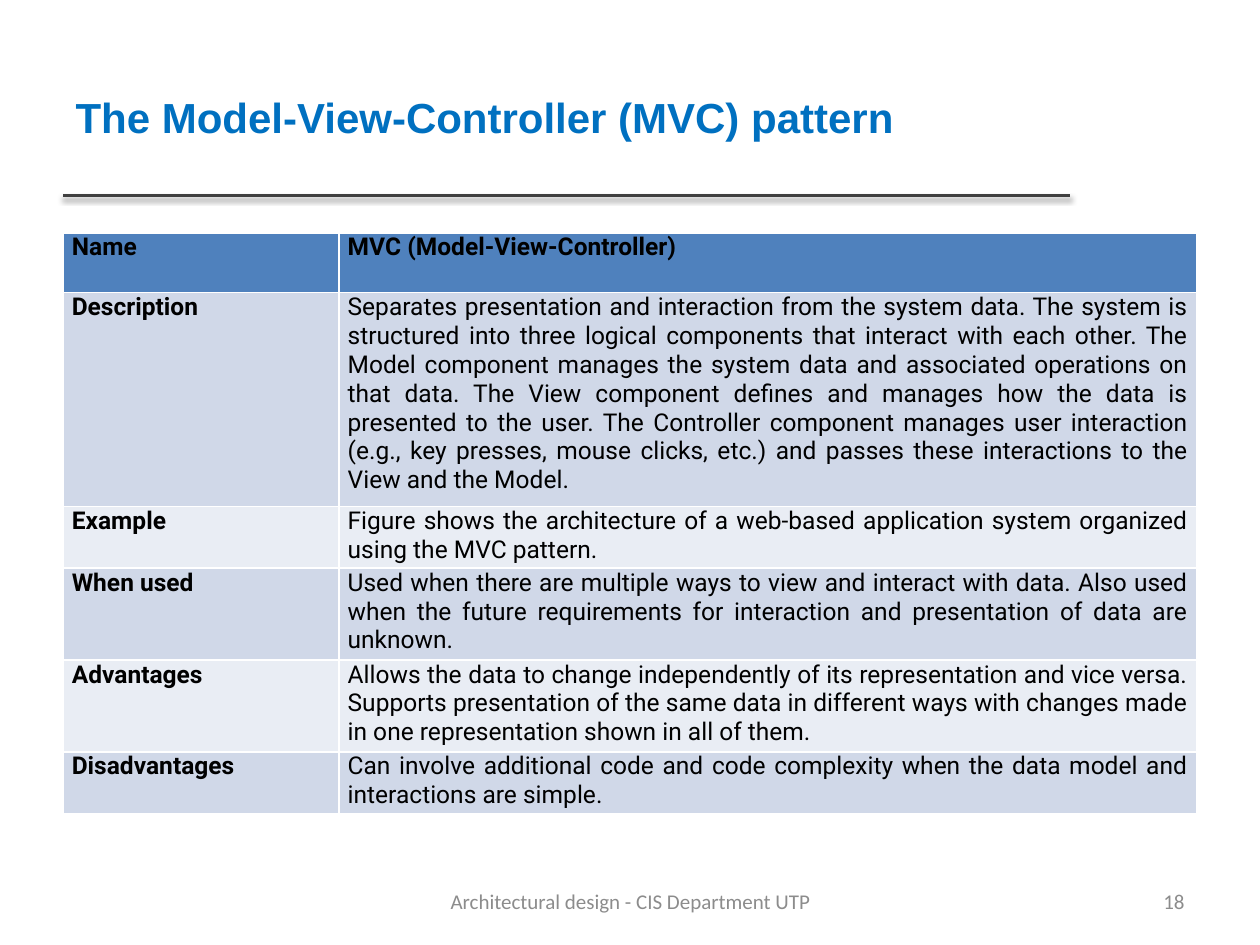
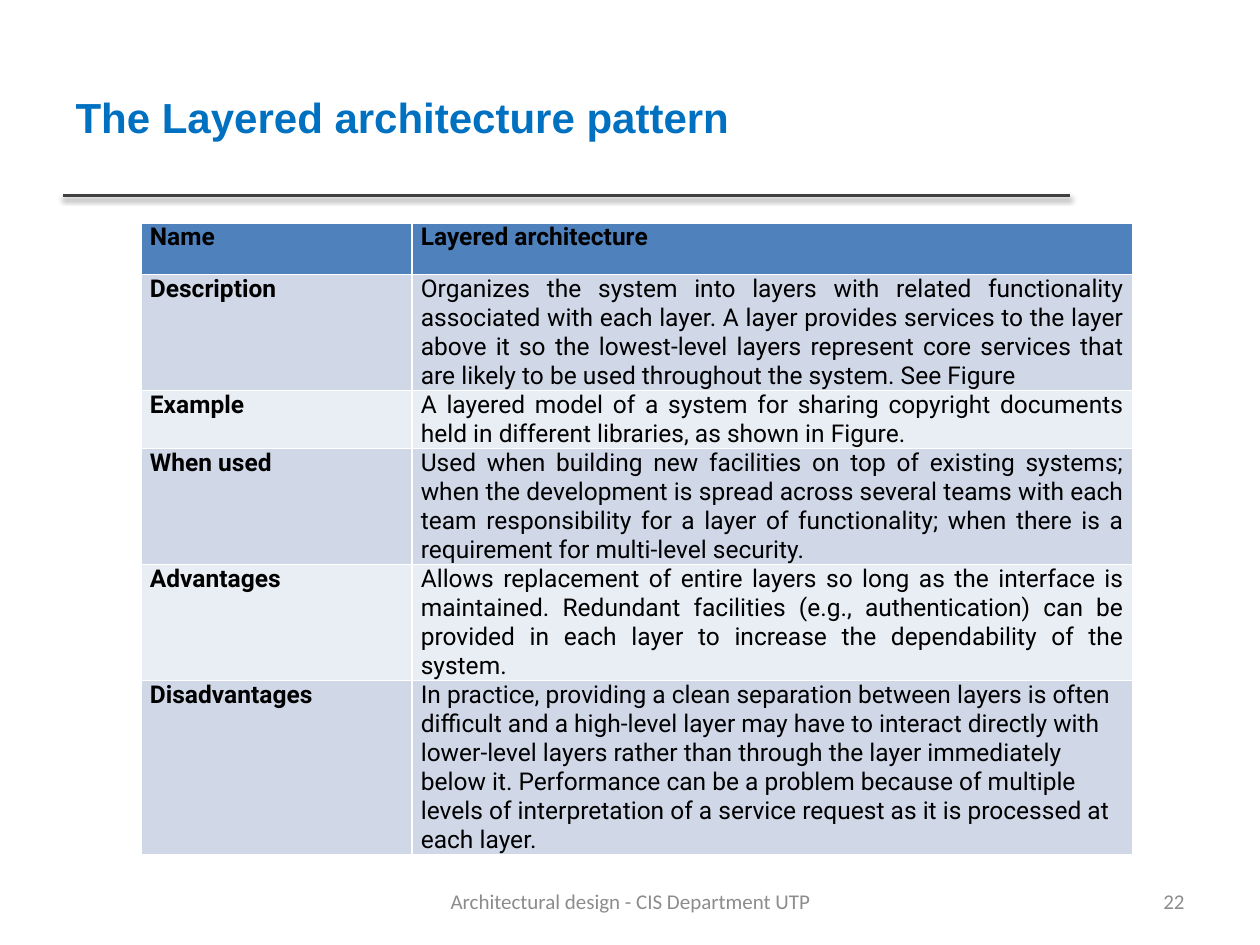
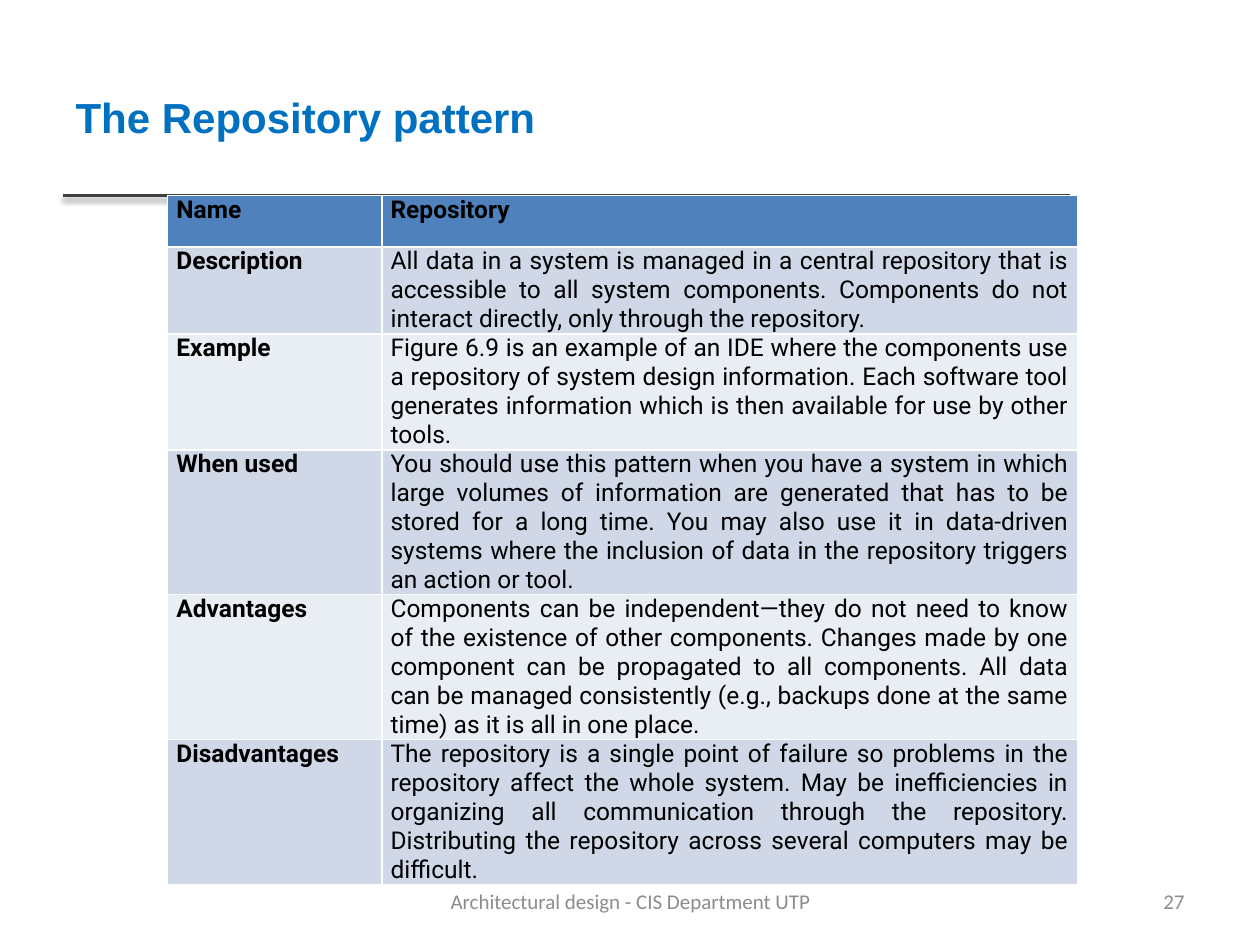
from dataclasses import dataclass
from lxml import etree
from pptx import Presentation
from pptx.dml.color import RGBColor
from pptx.enum.shapes import MSO_CONNECTOR
from pptx.enum.text import MSO_ANCHOR, PP_ALIGN
from pptx.oxml import parse_xml
from pptx.util import Inches, Pt


@dataclass(frozen=True)
class Theme:
    title_color: str = "0070C0"
    rule_color: str = "404040"
    footer_color: str = "8C8C8C"
    text_color: str = "000000"
    header_fill: str = "4F81BD"
    band_fills: tuple = ("E9EDF4", "D0D8E8")
    title_font: str = "Arial"
    table_font: str = "Roboto"
    footer_font: str = "Calibri"
    title_size: int = 24
    table_size: int = 14
    footer_size: int = 12


THEME = Theme()
FOOTER = "Architectural design - CIS Department UTP"
LABELS = ["Name", "Description", "Example", "When used", "Advantages", "Disadvantages"]
PATTERNS = [
    {
        "title": "The Model-View-Controller (MVC) pattern",
        "page": 18,
        "box": (0.5, 1.85, 9, 4.6),
        "cols": (2.19, 6.81),
        "rows": (0.47, 1.7, 0.49, 0.73, 0.73, 0.49),
        "last_align": PP_ALIGN.JUSTIFY,
        "texts": [
            "MVC (Model-View-Controller)",
            "Separates presentation and interaction from the system data. The system is structured into three logical components that interact with each other. The Model component manages the system data and associated operations on that data. The View component defines and manages how the data is presented to the user. The Controller component manages user interaction (e.g., key presses, mouse clicks, etc.) and passes these interactions to the View and the Model.",
            "Figure shows the architecture of a web-based application system organized using the MVC pattern.",
            "Used when there are multiple ways to view and interact with data. Also used when the future requirements for interaction and presentation of data are unknown.",
            "Allows the data to change independently of its representation and vice versa. Supports presentation of the same data in different ways with changes made in one representation shown in all of them.",
            "Can involve additional code and code complexity when the data model and interactions are simple.",
        ],
    },
    {
        "title": "The Layered architecture pattern",
        "page": 22,
        "box": (1.12, 1.77, 7.86, 5.07),
        "cols": (2.15, 5.72),
        "rows": (0.41,) * 6,
        "last_align": PP_ALIGN.LEFT,
        "texts": [
            "Layered architecture",
            "Organizes the system into layers with related functionality associated with each layer. A layer provides services to the layer above it so the lowest-level layers represent core services that are likely to be used throughout the system. See Figure",
            "A layered model of a system for sharing copyright documents held in different libraries, as shown in Figure.",
            "Used when building new facilities on top of existing systems; when the development is spread across several teams with each team responsibility for a layer of functionality; when there is a requirement for multi-level security.",
            "Allows replacement of entire layers so long as the interface is maintained. Redundant facilities (e.g., authentication) can be provided in each layer to increase the dependability of the system.",
            "In practice, providing a clean separation between layers is often difficult and a high-level layer may have to interact directly with lower-level layers rather than through the layer immediately below it. Performance can be a problem because of multiple levels of interpretation of a service request as it is processed at each layer.",
        ],
    },
    {
        "title": "The Repository pattern",
        "page": 27,
        "box": (1.33, 1.55, 7.21, 5.54),
        "cols": (1.7, 5.52),
        "rows": (0.41,) * 6,
        "last_align": PP_ALIGN.JUSTIFY,
        "texts": [
            "Repository",
            "All data in a system is managed in a central repository that is accessible to all system components. Components do not interact directly, only through the repository.",
            "Figure 6.9 is an example of an IDE where the components use a repository of system design information. Each software tool generates information which is then available for use by other tools.",
            "You should use this pattern when you have a system in which large volumes of information are generated that has to be stored for a long time. You may also use it in data-driven systems where the inclusion of data in the repository triggers an action or tool.",
            "Components can be independent—they do not need to know of the existence of other components. Changes made by one component can be propagated to all components. All data can be managed consistently (e.g., backups done at the same time) as it is all in one place.",
            "The repository is a single point of failure so problems in the repository affect the whole system. May be inefficiencies in organizing all communication through the repository. Distributing the repository across several computers may be difficult.",
        ],
    },
]
RULE_SHADOW = """<a:effectLst xmlns:a="http://schemas.openxmlformats.org/drawingml/2006/main">
<a:outerShdw blurRad="40000" dist="20000" dir="5400000" rotWithShape="0">
<a:srgbClr val="000000"><a:alpha val="38000"/></a:srgbClr></a:outerShdw></a:effectLst>"""


def write(tf, text, font, size, color, align, bold=False):
    p = tf.paragraphs[0]
    p.text = text
    p.alignment = align
    p.font.name = font
    p.font.size = Pt(size)
    p.font.bold = bold
    p.font.color.rgb = RGBColor.from_string(color)


def move_rule_to_layout(s, layout):
    rule = s.shapes.add_connector(
        MSO_CONNECTOR.STRAIGHT, Inches(0.5), Inches(1.55), Inches(8.49), Inches(1.55))
    rule.line.color.rgb = RGBColor.from_string(THEME.rule_color)
    rule.line.width = Pt(2)
    rule.element.spPr.append(parse_xml(RULE_SHADOW))
    layout.shapes.element.append(rule.element)


def add_title(s, text):
    sp = s.shapes.title
    sp.left, sp.top, sp.width, sp.height = map(Inches, (0.5, 0.3, 7.98, 1.25))
    sp.text_frame.vertical_anchor = MSO_ANCHOR.MIDDLE
    write(sp.text_frame, text, THEME.title_font, THEME.title_size,
          THEME.title_color, PP_ALIGN.LEFT, True)


def add_pattern_table(s, pattern):
    frame = s.shapes.add_table(len(LABELS), 2, *map(Inches, pattern["box"]))
    table = frame.table
    for column, width in zip(table.columns, pattern["cols"]):
        column.width = Inches(width)
    for row, height in zip(table.rows, pattern["rows"]):
        row.height = Inches(height)
    frame.height = Inches(pattern["box"][3])
    last = len(LABELS) - 1
    for i, texts in enumerate(zip(LABELS, pattern["texts"])):
        fill = THEME.band_fills[i % 2] if i else THEME.header_fill
        for j, text in enumerate(texts):
            cell = table.cell(i, j)
            cell.fill.solid()
            cell.fill.fore_color.rgb = RGBColor.from_string(fill)
            cell.margin_left = cell.margin_right = Inches(0.07)
            cell.margin_top = cell.margin_bottom = 0
            align = pattern["last_align"] if (i, j) == (last, 1) else PP_ALIGN.JUSTIFY
            write(cell.text_frame, text, THEME.table_font, THEME.table_size,
                  THEME.text_color, align, i == 0 or j == 0)


def add_footer(s, page):
    for text, left, width, align in (
        (str(page), 7.17, 2.33, PP_ALIGN.RIGHT),
        (FOOTER, 3.42, 3.17, PP_ALIGN.CENTER),
    ):
        sp = s.shapes.add_textbox(Inches(left), Inches(6.95), Inches(width), Inches(0.4))
        tf = sp.text_frame
        tf.word_wrap = True
        tf.vertical_anchor = MSO_ANCHOR.MIDDLE
        write(tf, text, THEME.footer_font, THEME.footer_size, THEME.footer_color, align)


def main():
    prs = Presentation()
    prs.slide_width, prs.slide_height = Inches(10), Inches(7.5)
    layout = prs.slide_layouts[5]
    for i, pattern in enumerate(PATTERNS):
        s = prs.slides.add_slide(layout)
        if i == 0:
            move_rule_to_layout(s, layout)
        add_title(s, pattern["title"])
        add_pattern_table(s, pattern)
        add_footer(s, pattern["page"])
    prs.save("out.pptx")


if __name__ == "__main__":
    main()
